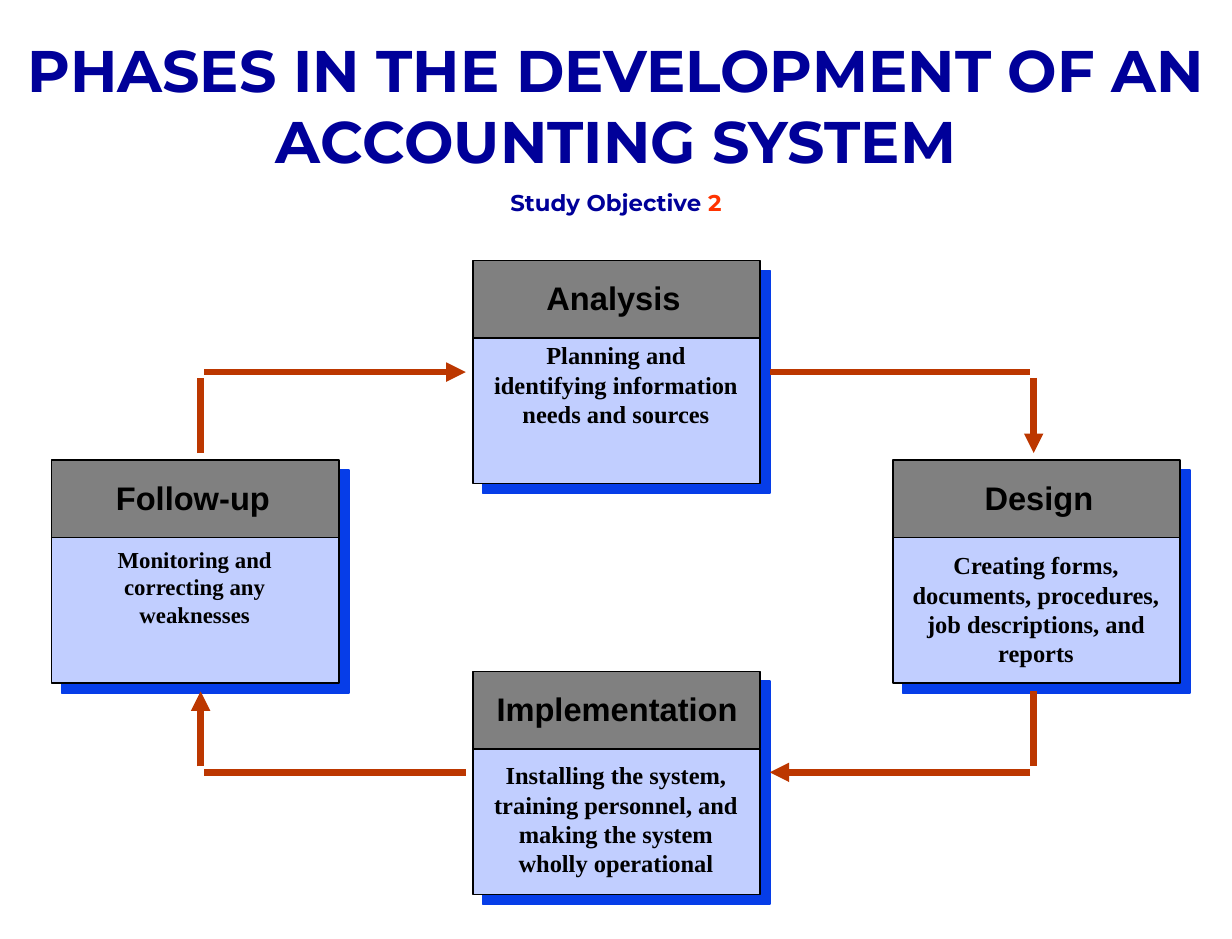
import pptx
import pptx.dml.color
import pptx.enum.shapes
import pptx.enum.text
import pptx.oxml
import pptx.oxml.ns
import pptx.util
from lxml import etree

RGB = pptx.dml.color.RGBColor
NAVY = RGB(0x00, 0x00, 0x99)
RED = RGB(0xFF, 0x33, 0x00)
BLACK = RGB(0x00, 0x00, 0x00)
GRAY = RGB(0x80, 0x80, 0x80)
LILAC = RGB(0xC1, 0xCE, 0xFF)
BLUE = RGB(0x06, 0x3D, 0xE8)
RUST = RGB(0xBC, 0x37, 0x00)

PX = 9144  # 100 px to the inch
CARD_WIDTH, HEADER_HEIGHT, BODY_TOP, BODY_HEIGHT = 245, 69, 66, 124


def emu(*lengths):
    return [pptx.util.Emu(length * PX) for length in lengths]


def add_xml(parent, tag, **attributes):
    return etree.SubElement(parent, pptx.oxml.ns.qn(tag), attributes)


class Painter:
    def __init__(self, page):
        self.page = page

    def text(self, left, top, width, height, paragraphs, wrap=True):
        """Each paragraph is (space before, runs); a run is (text, font, size, colour)."""
        box = self.page.shapes.add_textbox(*emu(left, top, width, height))
        frame = box.text_frame
        frame.word_wrap = wrap
        frame.auto_size = pptx.enum.text.MSO_AUTO_SIZE.SHAPE_TO_FIT_TEXT
        for index, (space, runs) in enumerate(paragraphs):
            para = frame.add_paragraph() if index else frame.paragraphs[0]
            para.alignment = pptx.enum.text.PP_ALIGN.CENTER
            if space:
                para.space_before = pptx.util.Pt(space)
            for words, font, size, color in runs:
                span = para.add_run()
                span.text = words
                span.font.name = font
                span.font.size = pptx.util.Pt(size)
                span.font.bold = True
                span.font.color.rgb = color

    def panel(self, group, left, top, width, height, color):
        box = group.shapes.add_shape(
            pptx.enum.shapes.MSO_SHAPE.RECTANGLE, *emu(left, top, width, height))
        box.fill.solid()
        box.fill.fore_color.rgb = color
        box.line.color.rgb = BLACK
        box.line.width = pptx.util.Pt(1)
        # Hard offset shadow
        box.shadow.inherit = False
        effects = box._element.spPr.find(pptx.oxml.ns.qn("a:effectLst"))
        shadow = add_xml(effects, "a:outerShdw", dist=str(pptx.util.Pt(8.5)),
                         dir="2700000", algn="ctr", rotWithShape="0")
        add_xml(shadow, "a:srgbClr", val=str(BLUE))

    def card(self, left, top):
        group = self.page.shapes.add_group_shape()
        self.panel(group, left, top, CARD_WIDTH, HEADER_HEIGHT, GRAY)
        self.panel(group, left, top + BODY_TOP, CARD_WIDTH, BODY_HEIGHT, LILAC)

    def line(self, start, end, arrow=False):
        line = self.page.shapes.add_connector(
            pptx.enum.shapes.MSO_CONNECTOR.STRAIGHT, *emu(*start, *end))
        line.line.color.rgb = RUST
        line.line.width = pptx.util.Pt(4)
        if arrow:
            add_xml(line.line._get_or_add_ln(), "a:tailEnd", type="triangle")
        add_xml(line._element.spPr, "a:effectLst")


# Card left, top; heading with left, width; text with top, height, size
PHASES = [
    (403, 222, "Analysis", 453, 140,
     "Planning and identifying information needs and sources", 285, 85, 15),
    (403, 572, "Implementation", 410, 232,
     "Installing the system, training personnel, and making the system "
     "wholly operational", 643, 110, 15),
    (44, 392, "Follow-up", 86, 157,
     "Monitoring and correcting any weaknesses", 460, 80, 14),
    (761, 392, "Design", 826, 119,
     "Creating forms, documents, procedures, job descriptions, and reports",
     464, 110, 15),
]

# Clockwise flow: each bend is a plain line followed by an arrow
BENDS = [
    ((656, 317), (878, 317), (881, 322), (881, 386)),
    ((881, 589), (881, 653), (878, 658), (656, 658)),
    ((397, 658), (174, 658), (171, 653), (171, 589)),
    ((171, 386), (171, 322), (174, 317), (397, 317)),
]


def main():
    deck = pptx.Presentation()
    deck.slide_width, deck.slide_height = emu(1050, 800)
    page = deck.slides.add_slide(deck.slide_layouts[6])
    painter = Painter(page)

    # Title and objective
    painter.text(0, 24, 1050, 165, [
        (0, [("PHASES IN THE DEVELOPMENT OF AN ACCOUNTING SYSTEM",
              "Montserrat", 36, NAVY)]),
        (8.8, [("Study Objective ", "Montserrat", 14, NAVY),
               ("2", "Montserrat", 14, RED)]),
    ])

    # Phase cards
    for left, top, heading, label_left, label_width, words, y, height, size in PHASES:
        painter.card(left, top)
        painter.text(label_left, top + 10, label_width, 43,
                     [(0, [(heading, "Arial", 20, BLACK)])], wrap=False)
        painter.text(left + 4, y, 236, height,
                     [(0, [(words, "Times New Roman", size, BLACK)])])

    # Arrows between the phases
    for start, corner_in, corner_out, end in BENDS:
        painter.line(start, corner_in)
        painter.line(corner_out, end, arrow=True)

    deck.save("out.pptx")


if __name__ == "__main__":
    main()
